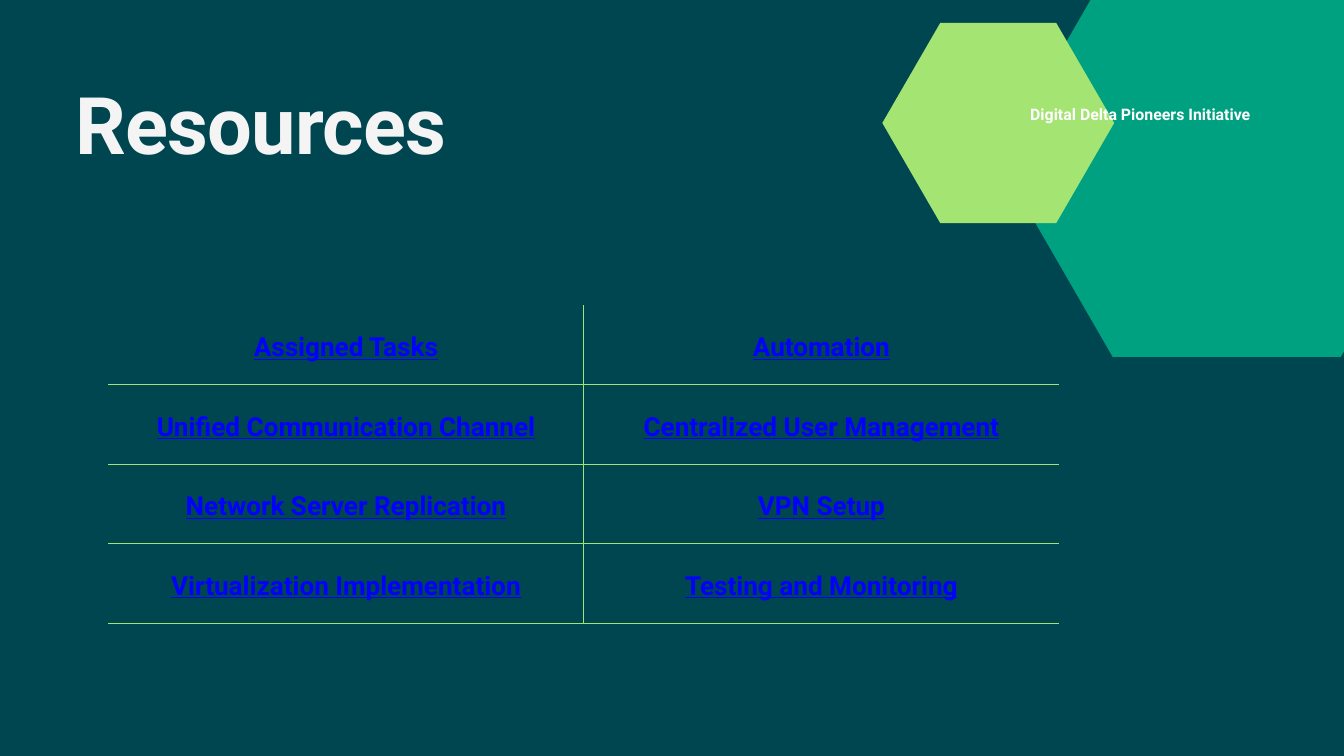
from lxml import etree
from pptx import Presentation
from pptx import util as u
from pptx.dml.color import RGBColor
from pptx.enum import text
from pptx.oxml.ns import qn

COLORS = {
    "background": "004651",
    "teal": "00A181",
    "lime": "A4E473",
    "title": "F4F4F4",
    "white": "FFFFFF",
    "link": "0000FF",
}
RESOURCES = [
    ("Assigned Tasks", "Automation"),
    ("Unified Communication Channel", "Centralized User Management"),
    ("Network Server Replication", "VPN Setup"),
    ("Virtualization Implementation", "Testing and Monitoring"),
]


def paint(fill, color):
    fill.solid()
    fill.fore_color.rgb = RGBColor.from_string(COLORS[color])


def write(frame, words, size, color, leading, underline=None, align=None, tracking=None):
    """Fill a text frame with one bold paragraph; tracking is in points."""
    paragraph = frame.paragraphs[0]
    paragraph.line_spacing = u.Pt(leading)
    paragraph.alignment = align
    run = paragraph.add_run()
    run.text = words
    font = run.font
    font.name, font.size, font.bold, font.underline = "Roboto", u.Pt(size), True, underline
    font.color.rgb = RGBColor.from_string(COLORS[color])
    if tracking:
        run._r.get_or_add_rPr().set("spc", str(round(tracking * 100)))


def border(cell, side, color, width):
    """Rule one side of a cell (L, R, T or B); a width of 0 hides it."""
    line = etree.SubElement(cell._tc.get_or_add_tcPr(), qn(f"a:ln{side}"), w=str(u.Pt(width)))
    if width:
        solid = etree.SubElement(line, qn("a:solidFill"))
        etree.SubElement(solid, qn("a:srgbClr"), val=COLORS[color])
    else:
        etree.SubElement(line, qn("a:noFill"))


class ResourceSlide:
    def __init__(self, deck):
        self.slide = deck.slides.add_slide(deck.slide_layouts[6])
        paint(self.slide.background.fill, "background")

    def hexagon(self, left, top, width, height, color):
        outline = [(1, .5), (.75, 1), (.25, 1), (0, .5), (.25, 0), (.75, 0)]
        points = [(u.Inches(left + x * width), u.Inches(top + y * height)) for x, y in outline]
        builder = self.slide.shapes.build_freeform(*points[0])
        builder.add_line_segments(points[1:], close=True)
        shape = builder.convert_to_shape()
        shape.shadow.inherit = False
        paint(shape.fill, color)
        shape.line.fill.background()

    def label(self, left, top, width, height, words, **style):
        box = self.slide.shapes.add_textbox(*map(u.Inches, (left, top, width, height)))
        frame = box.text_frame
        frame.word_wrap = True
        frame.margin_left = frame.margin_top = frame.margin_right = frame.margin_bottom = 0
        write(frame, words, **style)

    def table(self, left, top, width, height, rows, **style):
        """Add a grid ruled between columns and below every row."""
        last = len(rows[0]) - 1
        grid = self.slide.shapes.add_table(
            len(rows), last + 1, *map(u.Inches, (left, top, width, height))).table
        grid.first_row = grid.horz_banding = False
        for r, row in enumerate(rows):
            for c, words in enumerate(row):
                cell = grid.cell(r, c)
                ruled = {"L": c > 0, "R": c < last, "T": r > 0, "B": True}
                for side, shown in ruled.items():
                    border(cell, side, "lime", 0.75 if shown else 0)
                paint(cell.fill, "background")
                cell.vertical_anchor = text.MSO_ANCHOR.MIDDLE
                cell.margin_left = cell.margin_right = u.Inches(0.21)
                cell.margin_top = cell.margin_bottom = u.Inches(0.21)
                write(cell.text_frame, words, **style)


def main():
    deck = Presentation()
    deck.slide_width, deck.slide_height = u.Inches(20), u.Inches(11.25)
    page = ResourceSlide(deck)
    page.hexagon(14.86, -0.57, 6.79, 5.88, "teal")
    page.hexagon(13.13, 0.34, 3.45, 2.98, "lime")
    page.table(1.61, 4.54, 14.15, 4.73, RESOURCES, size=28, color="link", leading=39.2,
               underline=True, align=text.PP_ALIGN.CENTER)
    page.label(1.12, 1.12, 7.56, 1.41, "Resources",
               size=85, color="title", leading=102, tracking=-0.8)
    page.label(15.33, 1.51, 3.55, 0.31, "Digital Delta Pioneers Initiative",
               size=17, color="white", leading=23.8)
    deck.save("out.pptx")


if __name__ == "__main__":
    main()
